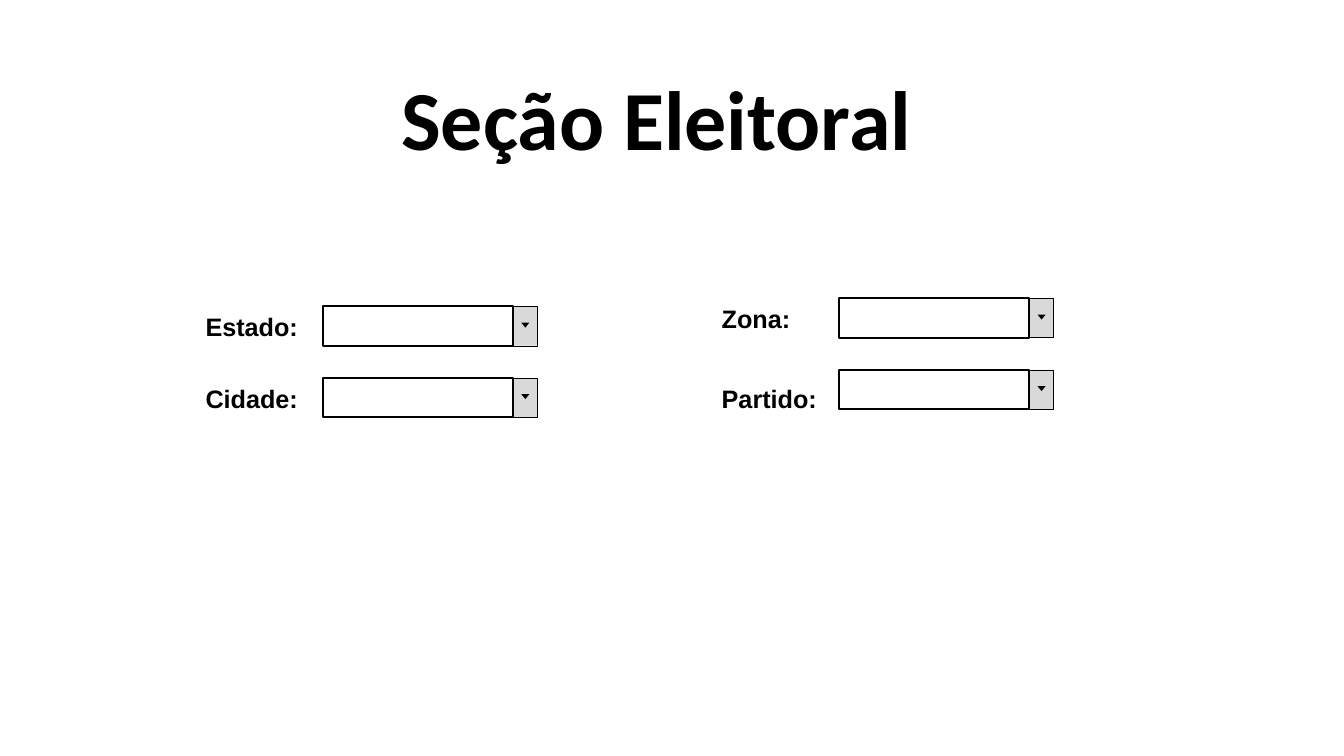
"""Builds the "Seção Eleitoral" form slide with four labelled drop-down fields."""
from dataclasses import dataclass

from pptx import Presentation
from pptx.dml.color import RGBColor
from pptx.enum.shapes import MSO_SHAPE
from pptx.enum.text import MSO_ANCHOR, MSO_AUTO_SIZE, PP_ALIGN
from pptx.shapes.autoshape import Shape
from pptx.slide import Slide
from pptx.util import Emu, Pt

RECT, TRIANGLE = MSO_SHAPE.RECTANGLE, MSO_SHAPE.ISOSCELES_TRIANGLE
BOTTOM, CENTER = MSO_ANCHOR.BOTTOM, PP_ALIGN.CENTER
FIT_SHAPE = MSO_AUTO_SIZE.SHAPE_TO_FIT_TEXT

EMU_PER_PX = 9144
SLIDE_W, SLIDE_H = 1333, 750
LABEL_H = 40
BOX_DX, BOX_W, BOX_H = 126, 189, 39
BUTTON_W = 24
ARROW_DX, ARROW_DY, ARROW_W, ARROW_H = 8, 16, 8, 5


@dataclass(frozen=True)
class Theme:
    ink: RGBColor = RGBColor(0x00, 0x00, 0x00)
    button: RGBColor = RGBColor(0xD9, 0xD9, 0xD9)
    title_font: str = "Calibri"
    label_font: str = "Arial"
    title_size: int = 60
    label_size: int = 18
    box_line: float = 1.5
    button_line: float = 0.25


@dataclass(frozen=True)
class Field:
    label: str
    x: int
    label_y: int
    box_y: int
    label_w: int


THEME = Theme()
FIELDS = (
    Field("Estado:", 194, 304, 304, 113),
    Field("Cidade:", 194, 375, 375, 113),
    Field("Zona:", 706, 296, 296, 89),
    Field("Partido:", 706, 375, 367, 116),
)


def px(n: int) -> Emu:
    return Emu(n * EMU_PER_PX)


def add_text(s: Slide, text: str, x: int, y: int, w: int, h: int,
             font: str, size: int) -> Shape:
    tb = s.shapes.add_textbox(px(x), px(y), px(w), px(h))
    tf = tb.text_frame
    tf.word_wrap = False
    p = tf.paragraphs[0]
    p.text = text
    p.font.name = font
    p.font.size = Pt(size)
    p.font.bold = True
    p.font.color.rgb = THEME.ink
    return tb


def add_title(s: Slide, text: str) -> None:
    tb = add_text(s, text, 76, 21, 1150, 145, THEME.title_font, THEME.title_size)
    tf = tb.text_frame
    tf.word_wrap = True
    tf.vertical_anchor = BOTTOM
    tf.margin_left = tf.margin_top = tf.margin_right = tf.margin_bottom = 0
    tf.paragraphs[0].alignment = CENTER


def add_figure(s: Slide, kind: MSO_SHAPE, x: int, y: int, w: int, h: int,
               fill: RGBColor | None = None, line: float | None = None) -> Shape:
    sp = s.shapes.add_shape(kind, px(x), px(y), px(w), px(h))
    sp.shadow.inherit = False
    if fill is None:
        sp.fill.background()
    else:
        sp.fill.solid()
        sp.fill.fore_color.rgb = fill
    if line is None:
        sp.line.fill.background()
    else:
        sp.line.color.rgb = THEME.ink
        sp.line.width = Pt(line)
    return sp


def add_field(s: Slide, field: Field) -> None:
    label = add_text(s, field.label, field.x, field.label_y, field.label_w, LABEL_H,
                     THEME.label_font, THEME.label_size)
    label.text_frame.auto_size = FIT_SHAPE
    box_x, y = field.x + BOX_DX, field.box_y
    button_x = box_x + BOX_W
    add_figure(s, RECT, box_x, y, BOX_W, BOX_H, line=THEME.box_line)
    add_figure(s, RECT, button_x, y, BUTTON_W, BOX_H, THEME.button, THEME.button_line)
    arrow = add_figure(s, TRIANGLE, button_x + ARROW_DX, y + ARROW_DY,
                       ARROW_W, ARROW_H, THEME.ink)
    arrow.rotation = 180


def main() -> None:
    prs = Presentation()
    prs.slide_width, prs.slide_height = px(SLIDE_W), px(SLIDE_H)
    s = prs.slides.add_slide(prs.slide_layouts[6])
    add_title(s, "Seção Eleitoral")
    for field in FIELDS:
        add_field(s, field)
    prs.save("out.pptx")


if __name__ == "__main__":
    main()
